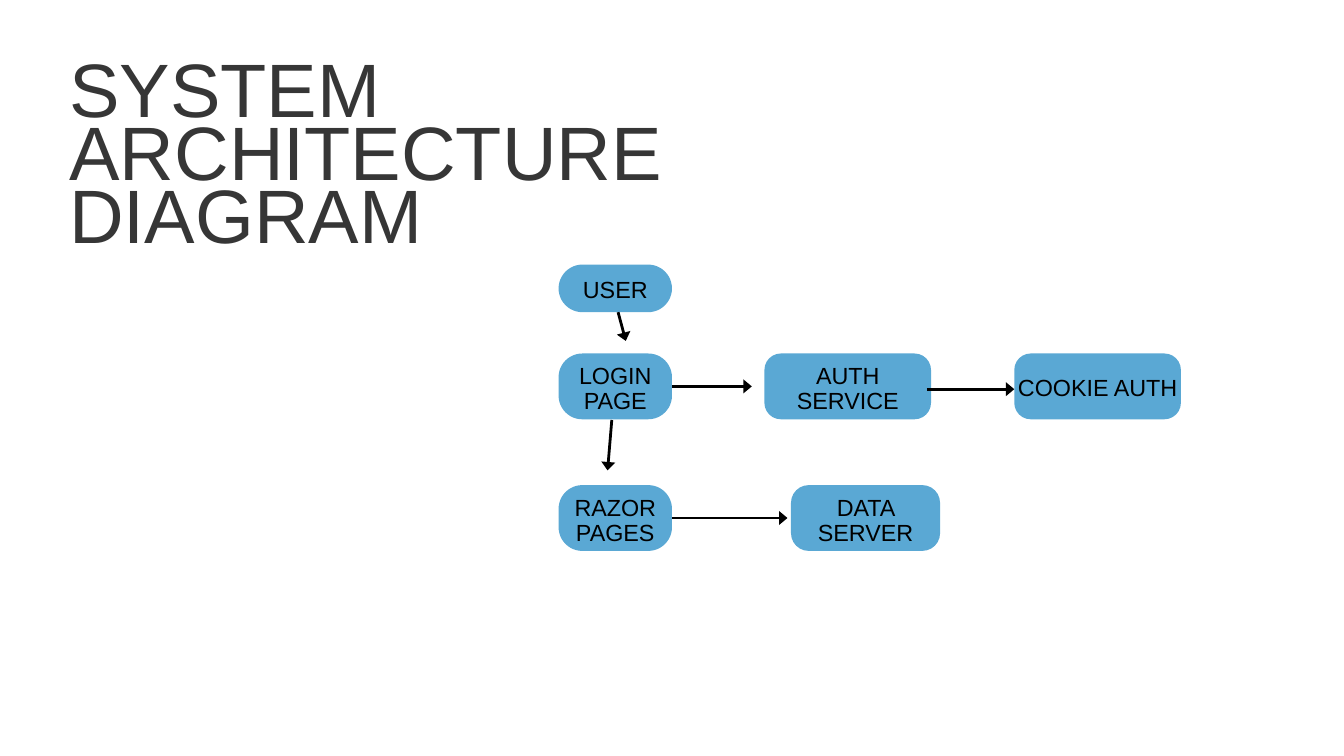
from lxml.etree import SubElement
from pptx import Presentation
from pptx.dml.color import RGBColor
from pptx.enum.shapes import MSO_CONNECTOR, MSO_SHAPE
from pptx.enum.text import MSO_ANCHOR, MSO_AUTO_SIZE, PP_ALIGN
from pptx.oxml.ns import qn
from pptx.util import Pt

PX = 9525
COLORS = {"title": "363636", "node": "5AA8D4", "ink": "000000"}
FONT = "Arial"

NODES = {
    "USER": (0, 0, 162, 68, 0.5),
    "LOGIN PAGE": (0, 127, 162, 94, 0.36),
    "AUTH SERVICE": (294, 127, 238, 94, 0.25),
    "COOKIE AUTH": (651, 127, 238, 94, 0.25),
    "RAZOR PAGES": (0, 315, 162, 94, 0.36),
    "DATA SERVER": (332, 315, 213, 94, 0.27),
}
ONE_LINE = {"COOKIE AUTH"}
ARROWS = [
    ((85, 68), (96, 109), None),
    ((162, 174), (276, 174), "LOGIN PAGE"),
    ((526, 178), (651, 178), None),
    ((162, 362), (327, 362), "RAZOR PAGES"),
    ((76, 222), (70, 294), None),
]


def px(*values):
    return [v * PX for v in values]


def rgb(name):
    return RGBColor.from_string(COLORS[name])


def write_text(sp, text, size, color, spacing, align=PP_ALIGN.LEFT,
               anchor=MSO_ANCHOR.TOP, top=0, wrap=True):
    tf = sp.text_frame
    tf.auto_size = MSO_AUTO_SIZE.NONE
    tf.word_wrap = wrap
    tf.vertical_anchor = anchor
    tf.margin_left = tf.margin_right = tf.margin_bottom = 0
    tf.margin_top = top * PX
    p = tf.paragraphs[0]
    p.alignment = align
    p.line_spacing = Pt(spacing)
    p.space_before = Pt(0)
    r = p.add_run()
    r.text = text
    r.font.name = FONT
    r.font.size = Pt(size)
    r.font.color.rgb = rgb(color)


def add_title(s, x, y, w, h):
    sp = s.shapes.title
    sp.left, sp.top, sp.width, sp.height = px(x, y, w, h)
    write_text(sp, "SYSTEM ARCHITECTURE DIAGRAM", 81.1, "title", 67.3)


def add_node(s, label, x, y, w, h, radius):
    sp = s.shapes.add_shape(MSO_SHAPE.ROUNDED_RECTANGLE, *px(x, y, w, h))
    sp.adjustments[0] = radius
    sp.shadow.inherit = False
    sp.fill.solid()
    sp.fill.fore_color.rgb = rgb("node")
    sp.line.fill.background()
    write_text(sp, label, 25, "ink", 26.7, align=PP_ALIGN.CENTER,
               anchor=MSO_ANCHOR.MIDDLE, top=8, wrap=label not in ONE_LINE)
    return sp


def add_arrow(s, x1, y1, x2, y2, source=None):
    c = s.shapes.add_connector(MSO_CONNECTOR.STRAIGHT, *px(x1, y1, x2, y2))
    if source is not None:
        c.begin_connect(source, 3)
    c.line.color.rgb = rgb("ink")
    c.line.width = Pt(3)
    SubElement(c.line._get_or_add_ln(), qn("a:tailEnd"),
               type="triangle", w="lg", len="med")
    SubElement(c._element.spPr, qn("a:effectLst"))


def add_diagram(s, x, y):
    nodes = {label: add_node(s, label, x + dx, y + dy, w, h, radius)
             for label, (dx, dy, w, h, radius) in NODES.items()}
    for (x1, y1), (x2, y2), source in ARROWS:
        add_arrow(s, x + x1, y + y1, x + x2, y + y2, nodes.get(source))


def main():
    prs = Presentation()
    prs.slide_width, prs.slide_height = px(1920, 1080)
    s = prs.slides.add_slide(prs.slide_layouts[5])
    add_title(s, 99, 100, 1283, 278)
    add_diagram(s, 798, 378)
    prs.save("out.pptx")


if __name__ == "__main__":
    main()
